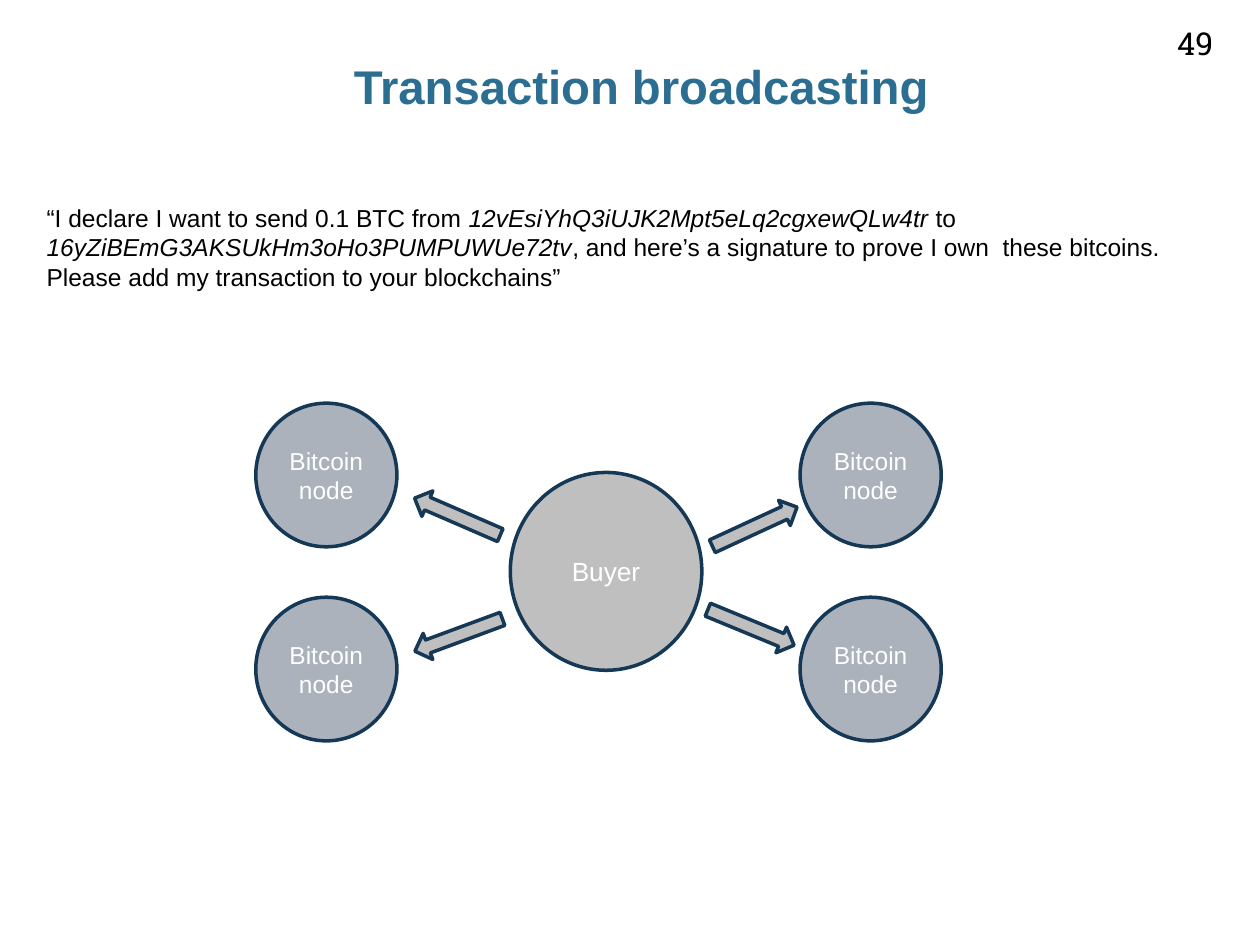
from pptx import Presentation
from pptx.dml.color import RGBColor
from pptx.enum.shapes import MSO_SHAPE
from pptx.enum.text import MSO_ANCHOR, PP_ALIGN
from pptx.util import Inches, Pt

OVAL, ARROW = MSO_SHAPE.OVAL, MSO_SHAPE.RIGHT_ARROW
TOP, MID, LOW = MSO_ANCHOR.TOP, MSO_ANCHOR.MIDDLE, MSO_ANCHOR.BOTTOM
LEFT, MIDDLE = PP_ALIGN.LEFT, PP_ALIGN.CENTER

WIDE, HIGH = 10, 7.5
EDGE, SPAN = 0.37, 9.44
COLS, ROWS = (2.03, 6.35), (3.2, 4.74)
NODE = (1.12, 1.14)
HUE = {
    "title": "2C6D92", "ink": "000000", "white": "FFFFFF",
    "buyer": "BFBFBF", "node": "ABB2BC", "rim": "153856",
}

# Left, top and turn of each arrow leaving the buyer
ARROWS = [
    (3.26, 3.99, 203.4), (3.27, 4.93, 159.7),
    (5.62, 4.07, 335.2), (5.59, 4.87, 22.4),
]

# Text and italic flag of each run
CLAIM = [
    ("“I declare I want to send 0.1 BTC from ", False),
    ("12vEsiYhQ3iUJK2Mpt5eLq2cgxewQLw4tr", True),
    (" to ", False),
    ("16yZiBEmG3AKSUkHm3oHo3PUMPUWUe72tv", True),
    (", and here’s a signature to prove I own  these bitcoins. "
     "Please add my transaction to your blockchains”", False),
]


def rgb(name):
    return RGBColor.from_string(HUE[name])


def put(item, *box):
    for key, size in zip(("left", "top", "width", "height"), box):
        setattr(item, key, Inches(size))


def write(item, runs, size, hue, align=MIDDLE, anchor=MID,
          pad=(0.05, 0.05), face="Arial", bold=False):
    frame = item.text_frame
    side, end = map(Inches, pad)
    look = {
        "word_wrap": True, "vertical_anchor": anchor,
        "margin_left": side, "margin_right": side,
        "margin_top": end, "margin_bottom": end,
    }
    for key, value in look.items():
        setattr(frame, key, value)
    para = frame.paragraphs[0]
    para.alignment = align
    for words, slant in runs:
        run = para.add_run()
        run.text = words
        style = {"name": face, "size": Pt(size), "bold": bold, "italic": slant}
        for key, value in style.items():
            setattr(run.font, key, value)
        run.font.color.rgb = rgb(hue)
    return para


def add_text(slide, box, runs, size, **look):
    item = slide.shapes.add_textbox(*map(Inches, box))
    write(item, runs, size, "ink", **look)


def add_form(slide, kind, box, fill):
    form = slide.shapes.add_shape(kind, *map(Inches, box))
    form.shadow.inherit = False
    form.fill.solid()
    form.fill.fore_color.rgb = rgb(fill)
    form.line.color.rgb = rgb("rim")
    form.line.width = Pt(2)
    return form


def add_disc(slide, box, fill, label, size):
    disc = add_form(slide, OVAL, box, fill)
    write(disc, [(label, False)], size, "white")


def add_arrow(slide, left, top, turn):
    add_form(slide, ARROW, (left, top, 0.74, 0.22), "buyer").rotation = turn


def main():
    deck = Presentation()
    deck.slide_width, deck.slide_height = Inches(WIDE), Inches(HIGH)
    slide = deck.slides.add_slide(deck.slide_layouts[5])

    # Title and page number
    title = slide.shapes.title
    put(title, EDGE, 0.39, SPAN, 0.79)
    para = write(title, [("Transaction broadcasting", False)], 27, "title",
                 anchor=TOP, pad=(0.1, 0.1), bold=True)
    para.line_spacing = 0.95
    add_text(slide, (9.16, 0.14, 0.65, 0.4), [("49", False)], 18,
             anchor=LOW, face="Roboto Slab")

    # Declaration
    add_text(slide, (EDGE, 1.56, SPAN, 1), CLAIM, 14,
             align=LEFT, anchor=TOP, pad=(0, 0.05))

    # Buyer, the nodes around it and the arrows between
    add_disc(slide, (4.05, 3.75, 1.52, 1.57), "buyer", "Buyer", 15)
    for left in COLS:
        for top in ROWS:
            add_disc(slide, (left, top, *NODE), "node", "Bitcoin node", 14)
    for arrow in ARROWS:
        add_arrow(slide, *arrow)

    deck.save("out.pptx")


if __name__ == "__main__":
    main()
